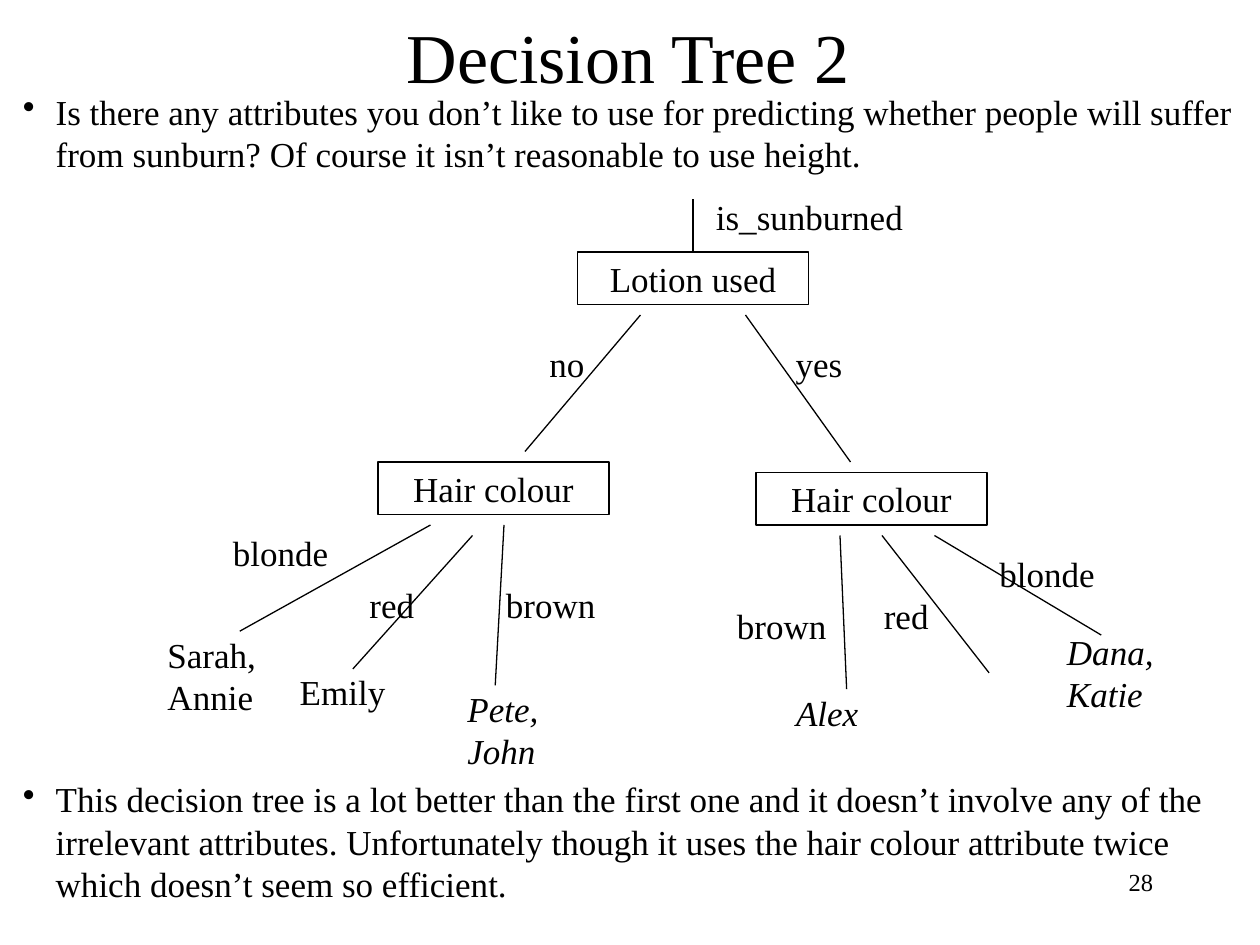
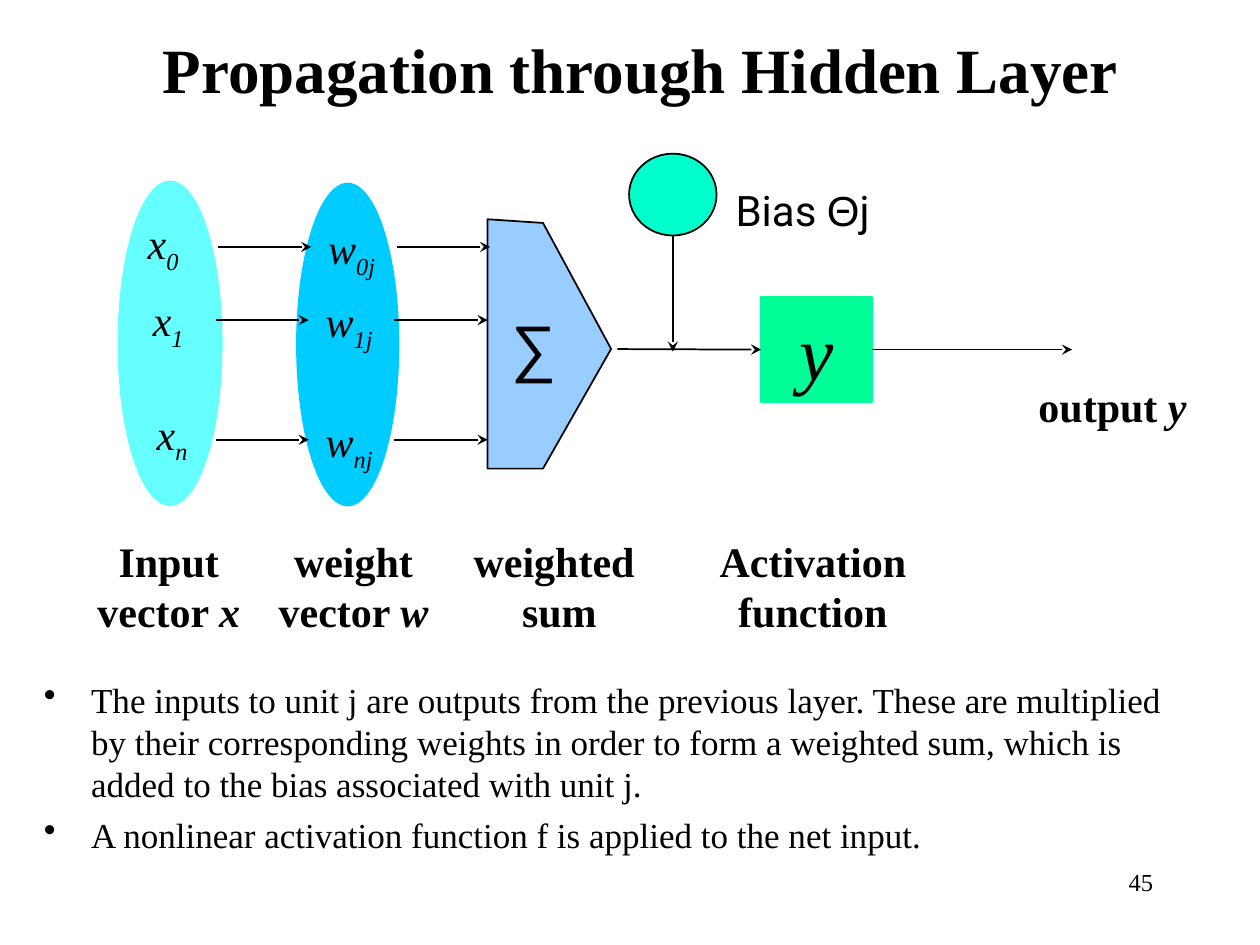
import pptx
import pptx.dml.color
import pptx.enum.shapes
import pptx.enum.text
import pptx.oxml.ns
import pptx.util
from lxml import etree

Pt = pptx.util.Pt
RGBColor = pptx.dml.color.RGBColor
SHAPE = pptx.enum.shapes.MSO_SHAPE
ALIGN = pptx.enum.text.PP_ALIGN
ANCHOR = pptx.enum.text.MSO_ANCHOR
qn = pptx.oxml.ns.qn

BLACK = RGBColor(0x00, 0x00, 0x00)
WHITE = RGBColor(0xFF, 0xFF, 0xFF)
INPUT_CYAN = RGBColor(0x66, 0xFF, 0xFF)
WEIGHT_BLUE = RGBColor(0x00, 0xCC, 0xFF)
SUM_BLUE = RGBColor(0x99, 0xCC, 0xFF)
BIAS_TEAL = RGBColor(0x00, 0xFF, 0xCC)
OUTPUT_GREEN = RGBColor(0x00, 0xFF, 0x99)
SERIF = "Times New Roman"
ITALIC = {"italic": True}
SUBSCRIPT = {"italic": True, "baseline": "-25000"}


def add_box(slide, area, paragraphs, size=20, bold=False, align=ALIGN.LEFT, anchor=ANCHOR.TOP,
            wrap=True, indent=0, preset=None, fill=None, line=None, line_width=1):
    lengths = [Pt(value) for value in area]
    if preset is None:
        shape = slide.shapes.add_textbox(*lengths)
    else:
        shape = slide.shapes.add_shape(preset, *lengths)
        shape.shadow.inherit = False
        shape.fill.solid()
        shape.fill.fore_color.rgb = fill
        if line is None:
            shape.line.fill.background()
        else:
            shape.line.color.rgb = line
            shape.line.width = Pt(line_width)
    frame = shape.text_frame
    frame.word_wrap = wrap
    frame.vertical_anchor = anchor
    for number, runs in enumerate(paragraphs):
        paragraph = frame.add_paragraph() if number else frame.paragraphs[0]
        paragraph.alignment = align
        if indent:
            properties = paragraph._p.get_or_add_pPr()
            properties.set("marL", str(Pt(indent)))
            properties.set("indent", str(-Pt(indent)))
            etree.SubElement(properties, qn("a:buChar"), char="•")
            if number:
                paragraph.space_before = Pt(5)
        for text, style in runs:
            run = paragraph.add_run()
            run.text = text
            run.font.name = style.get("font", SERIF)
            run.font.size = Pt(size)
            run.font.bold = bold
            run.font.italic = style.get("italic", False)
            run.font.color.rgb = BLACK
            if "baseline" in style:
                run.font._element.set("baseline", style["baseline"])
    return shape


def add_line(slide, start, end, width=0.75, arrow=False):
    points = [Pt(value) for value in (*start, *end)]
    connector = slide.shapes.add_connector(pptx.enum.shapes.MSO_CONNECTOR.STRAIGHT, *points)
    connector.line.color.rgb = BLACK
    connector.line.width = Pt(width)
    if arrow:
        etree.SubElement(connector.line._get_or_add_ln(), qn("a:tailEnd"), type="stealth")
    etree.SubElement(connector._element.spPr, qn("a:effectLst"))
    return connector


presentation = pptx.Presentation()
presentation.slide_width = Pt(720)
presentation.slide_height = Pt(540)
slides = []
for title, area, size, bold, page in [
    ("Decision Tree 2", (90, 6, 538, 52), 40, False, "28"),
    ("Propagation through Hidden Layer", (12, 12, 708, 54), 36, True, "45"),
]:
    slide = presentation.slides.add_slide(presentation.slide_layouts[6])
    add_box(slide, area, [[(title, {})]], size, bold, ALIGN.CENTER, ANCHOR.MIDDLE)
    add_box(slide, (516, 492, 150, 36), [[(page, {})]], 14, align=ALIGN.RIGHT)
    slides.append(slide)
tree_slide, network_slide = slides

root_line = add_line(tree_slide, (396, 114), (396, 144))
for start, end in [
    ((366, 180), (300, 258)),
    ((426, 180), (486, 264)),
    ((246, 300), (137, 360.7)),
    ((270, 306), (201.6, 382.3)),
    ((288, 300), (283, 391.7)),
    ((534, 306), (629.3, 362.9)),
    ((504, 306), (565.2, 384.5)),
    ((480, 306), (483.8, 393.8)),
]:
    add_line(tree_slide, start, end)

nodes = []
for text, left, top in [
    ("Lotion used", 330, 144), ("Hair colour", 216, 264), ("Hair colour", 432, 270),
]:
    nodes.append(add_box(tree_slide, (left, top, 132, 30), [[(text, {})]], align=ALIGN.CENTER,
                         anchor=ANCHOR.MIDDLE, wrap=False, preset=SHAPE.RECTANGLE,
                         fill=WHITE, line=BLACK, line_width=0.75))
root_line.end_connect(nodes[0], 0)

for text, left, top, width in [
    ("is_sunburned", 402, 108, 228),
    ("blonde", 126, 300, 90),
    ("red", 204, 330, 72),
    ("brown", 282, 330, 72),
    ("brown", 414, 342, 72),
    ("red", 498, 336, 72),
    ("blonde", 564, 312, 90),
    ("Sarah, Annie", 88.6, 358.6, 82.8),
    ("Emily", 164.2, 379.4, 79.2),
]:
    add_box(tree_slide, (left, top, width, 31.5), [[(text, {})]])
for text, left in [("no", 288), ("yes", 432)]:
    add_box(tree_slide, (left, 192, 72, 31.5), [[(text, {})]], align=ALIGN.CENTER)
for text, left, top, width in [
    ("Pete, John", 260, 389.5, 82.8),
    ("Alex", 447.8, 391.7, 63.4),
    ("Dana, Katie", 602.6, 357, 82.8),
]:
    add_box(tree_slide, (left, top, width, 31.5), [[(text, ITALIC)]])

for text, area in [
    ("Is there any attributes you don’t like to use for predicting whether people will suffer "
     "from sunburn? Of course it isn’t reasonable to use height.", (6, 48, 714, 55)),
    ("This decision tree is a lot better than the first one and it doesn’t involve any of the "
     "irrelevant attributes. Unfortunately though it uses the hair colour attribute twice "
     "which doesn’t seem so efficient.", (6, 441, 702, 79)),
]:
    add_box(tree_slide, area, [[(text, {})]], indent=18.75)

add_box(network_slide, (18, 384, 678, 126), [
    [("The inputs to unit j are outputs from the previous layer. These are multiplied by their "
      "corresponding weights in order to form a weighted sum, which is added to the bias "
      "associated with unit j.", {})],
    [("A nonlinear activation function f is applied to the net input.", {})],
], indent=27)

for area, fill, line in [
    ((169.2, 104.4, 59, 185), WEIGHT_BLUE, None),
    ((67.7, 103.7, 59, 185), INPUT_CYAN, INPUT_CYAN),
    ((359.5, 87.8, 50, 46.8), BIAS_TEAL, BLACK),
]:
    add_box(network_slide, area, [], preset=SHAPE.OVAL, fill=fill, line=line)

builder = network_slide.shapes.build_freeform(Pt(278.6), Pt(125.3))
builder.add_line_segments([(Pt(x), Pt(y)) for x, y in [
    (278.6, 267.8), (310.3, 267.8), (349.2, 199.4), (310.3, 127.4),
]], close=True)
sum_shape = builder.convert_to_shape()
sum_shape.shadow.inherit = False
sum_shape.fill.solid()
sum_shape.fill.fore_color.rgb = SUM_BLUE
sum_shape.line.color.rgb = BLACK
sum_shape.line.width = Pt(1)
add_box(network_slide, (285, 172, 39.6, 50.4), [[("∑", {"font": "Arial"})]], 36,
        align=ALIGN.CENTER, wrap=False)

output_box = add_box(network_slide, (435, 169.9, 63.4, 59.8), [[("y", ITALIC)]], 44,
                     align=ALIGN.CENTER, preset=SHAPE.RECTANGLE,
                     fill=OUTPUT_GREEN, line=OUTPUT_GREEN)
add_line(network_slide, (352.8, 199.5), (435, 199.8), 1, True).end_connect(output_box, 1)
add_line(network_slide, (498.4, 199.8), (612.7, 199.8), 1, True).begin_connect(output_box, 3)
add_line(network_slide, (384.5, 134.6), (384.5, 201), 1, True)

for index, row, arrow_left, input_left, input_top in [
    ("0", 141.1, 124.6, 77, 121),
    ("1", 182.9, 123.2, 79.9, 164.9),
    ("n", 251.3, 123.2, 82.1, 229.7),
]:
    for left in (arrow_left, arrow_left + 102.2):
        add_line(network_slide, (left, row), (left + 53.3, row), 1, True)
    for letter, suffix, area in [
        ("x", index, (input_left, input_top, 32.4, 40.3)),
        ("w", index + "j", (arrow_left + 55.4, row - 17.3, 41.8, 40.3)),
    ]:
        add_box(network_slide, area, [[(letter, ITALIC), (suffix, SUBSCRIPT)]], 24,
                align=ALIGN.CENTER, wrap=False)

for left, top, width, paragraphs in [
    (48.2, 302.4, 96.5, [[("Input", {})], [("vector ", {}), ("x", ITALIC)]]),
    (146.2, 302.4, 111.6, [[("weight", {})], [("vector ", {}), ("w", ITALIC)]]),
    (263.5, 302.4, 112.3, [[("weighted ", {})], [("sum", {})]]),
    (404, 302.4, 121, [[("Activation", {})], [("function", {})]]),
    (586, 213.8, 99.4, [[("output ", {}), ("y", ITALIC)]]),
]:
    add_box(network_slide, (left, top, width, 36), paragraphs, 24, True, ALIGN.CENTER, wrap=False)
add_box(network_slide, (413.3, 102.2, 91.4, 36), [[
    ("Bias ", {"font": "Roboto"}), ("Θ", {"font": "Arial"}), ("j", {"font": "Roboto"}),
]], 24, wrap=False)

presentation.save("out.pptx")
